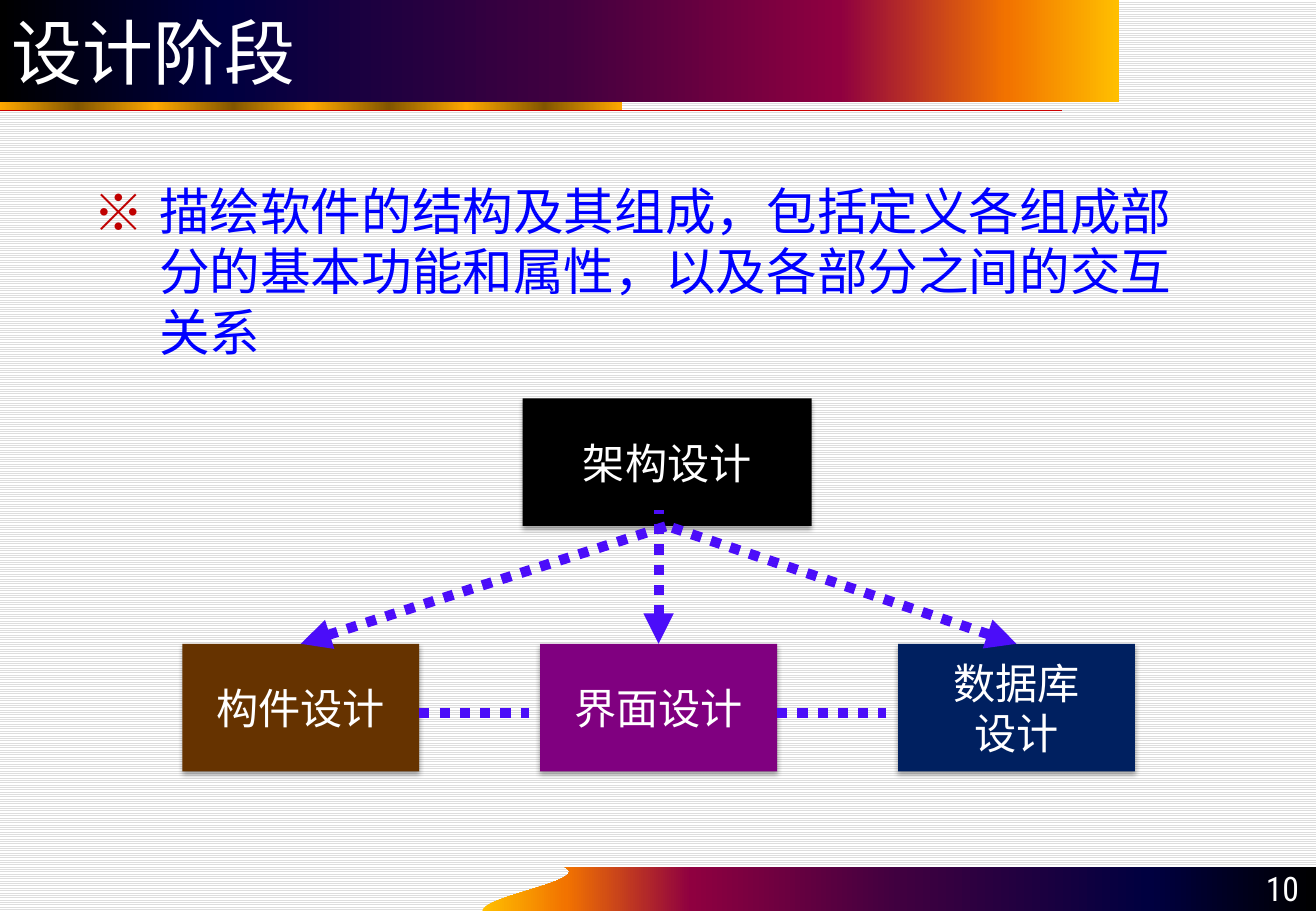
from dataclasses import dataclass

from lxml.etree import SubElement
from pptx import Presentation
from pptx.dml.color import RGBColor
from pptx.enum.dml import MSO_LINE, MSO_PATTERN
from pptx.enum.shapes import MSO_CONNECTOR, MSO_SHAPE
from pptx.enum.text import MSO_ANCHOR, PP_ALIGN
from pptx.oxml.ns import qn
from pptx.util import Inches, Pt


@dataclass(frozen=True)
class Theme:
    white: str = "FFFFFF"
    stripe: str = "DDDDDD"
    rule: str = "CC0000"
    bullet: str = "C00000"
    body: str = "0000FF"
    arrow: str = "4B0DF9"
    root: str = "000000"
    sunset: tuple = ((0, "000000"), (20, "000040"), (50, "400040"),
                     (75, "8F0040"), (90, "F27300"), (100, "FFBF00"))
    gold: tuple = ("FFA800", "825600")
    title_font: str = "DejaVu Sans"
    text_font: str = "Noto Sans CJK SC"
    number_font: str = "Roboto Condensed"
    title_size: int = 42
    body_size: int = 30
    box_size: int = 25
    number_size: int = 20
    line_height: float = 1.2


THEME = Theme()
SLIDE_W, SLIDE_H = 10.83, 7.5
DESIGNS = [("构件设计", "663300"), ("界面设计", "800080"), ("数据库\n设计", "002060")]


def rgb(color):
    return RGBColor.from_string(color)


def add_xml(parent, tag, **attributes):
    return SubElement(parent, qn(tag), {k: str(v) for k, v in attributes.items()})


def fill_gradient(shape, stops):
    """Left-to-right gradient without outline or shadow."""
    shape.shadow.inherit = False
    shape.line.fill.background()
    shape.fill.gradient()
    shape.fill.gradient_angle = 0
    stop_list = shape._element.spPr.find(qn("a:gradFill")).find(qn("a:gsLst"))
    for old in list(stop_list):
        stop_list.remove(old)
    for position, color in stops:
        stop = add_xml(stop_list, "a:gs", pos=int(position * 1000))
        add_xml(stop, "a:srgbClr", val=color)


def write(paragraph, text, font, size, color):
    for index, line in enumerate(text.split("\n")):
        if index:
            paragraph.add_line_break()
        run = paragraph.add_run()
        run.text = line
        run.font.name, run.font.size = font, Pt(size)
        run.font.color.rgb = rgb(color)
        add_xml(run._r.get_or_add_rPr(), "a:ea", typeface=font)


def add_rect(slide, left, top, width, height):
    return slide.shapes.add_shape(MSO_SHAPE.RECTANGLE, Inches(left), Inches(top),
                                  Inches(width), Inches(height))


def add_line(slide, start, end, color, width):
    line = slide.shapes.add_connector(
        MSO_CONNECTOR.STRAIGHT, *(Inches(v) for v in (*start, *end)))
    line.line.color.rgb = rgb(color)
    line.line.width = Pt(width)
    add_xml(line._element.spPr, "a:effectLst")
    return line


def add_dotted(slide, start, end, arrow=False):
    line = add_line(slide, start, end, THEME.arrow, 6)
    line.line.dash_style = MSO_LINE.ROUND_DOT
    if arrow:
        add_xml(line.line._get_or_add_ln(), "a:headEnd", type="triangle")
    return line


def add_header(slide, left, top, width, height):
    # Gold strip and red rule below the banner
    strip = add_rect(slide, left, top + 0.76, 5.12, 0.15)
    fill_gradient(strip, [(i * 12.5, THEME.gold[i % 2]) for i in range(9)])
    rule_y = top + 0.91
    add_line(slide, (left, rule_y), (left + 8.74, rule_y), THEME.rule, 1)
    # Title banner
    banner = add_rect(slide, left, top, width, height)
    fill_gradient(banner, THEME.sunset)
    frame = banner.text_frame
    frame.vertical_anchor = MSO_ANCHOR.MIDDLE
    frame.paragraphs[0].alignment = PP_ALIGN.LEFT
    write(frame.paragraphs[0], "设计阶段", THEME.title_font, THEME.title_size, THEME.white)


def add_footer(slide, left, top, width, height):
    # Bar whose left edge follows a Bézier curve
    curve = [(0, 0.36), (0, 0.24), (0.9, 0.11), (0.68, 0)]
    steps = 24
    edge = []
    for i in range(steps + 1):
        t = i / steps
        weights = ((1 - t) ** 3, 3 * t * (1 - t) ** 2, 3 * t * t * (1 - t), t ** 3)
        x, y = (sum(w * p[axis] for w, p in zip(weights, curve)) for axis in (0, 1))
        edge.append((Inches(left + x), Inches(top + y)))
    right, bottom = Inches(left + width), Inches(top + height)
    outline = slide.shapes.build_freeform(*edge[0])
    outline.add_line_segments(edge[1:] + [(right, Inches(top)), (right, bottom)])
    bar = outline.convert_to_shape()
    fill_gradient(bar, [(100 - p, c) for p, c in reversed(THEME.sunset)])
    # Slide number
    number = slide.shapes.add_textbox(Inches(left + width - 1), Inches(top - 0.01),
                                      Inches(0.96), Inches(0.4))
    frame = number.text_frame
    frame.word_wrap = True
    frame.vertical_anchor = MSO_ANCHOR.BOTTOM
    frame.paragraphs[0].alignment = PP_ALIGN.RIGHT
    write(frame.paragraphs[0], "10", THEME.number_font, THEME.number_size, THEME.white)


def add_description(slide, left, top, width, height):
    description = slide.shapes.add_textbox(Inches(left), Inches(top),
                                           Inches(width), Inches(height))
    frame = description.text_frame
    frame.word_wrap = True
    paragraph = frame.paragraphs[0]
    paragraph.line_spacing = Pt(THEME.body_size * THEME.line_height)
    properties = paragraph._p.get_or_add_pPr()
    properties.set("marL", str(Inches(0.54)))
    properties.set("indent", str(-Inches(0.54)))
    add_xml(add_xml(properties, "a:buClr"), "a:srgbClr", val=THEME.bullet)
    add_xml(properties, "a:buFont", typeface=THEME.text_font)
    add_xml(properties, "a:buChar", char="※")
    write(paragraph, "描绘软件的结构及其组成，包括定义各组成部分的基本功能和属性，"
          "以及各部分之间的交互关系", THEME.text_font, THEME.body_size, THEME.body)


def add_design_box(slide, left, top, width, height, label, color):
    box = add_rect(slide, left, top, width, height)
    box.fill.solid()
    box.fill.fore_color.rgb = rgb(color)
    box.line.fill.background()
    # Soft shadow straight below
    effects = add_xml(box._element.spPr, "a:effectLst")
    shadow = add_xml(effects, "a:outerShdw", blurRad=Pt(3.1), dist=Pt(1.8),
                     dir=5400000, rotWithShape=0)
    add_xml(add_xml(shadow, "a:srgbClr", val="000000"), "a:alpha", val=35000)
    frame = box.text_frame
    frame.word_wrap = True
    frame.vertical_anchor = MSO_ANCHOR.MIDDLE
    paragraph = frame.paragraphs[0]
    paragraph.alignment = PP_ALIGN.CENTER
    paragraph.line_spacing = Pt(THEME.box_size * THEME.line_height)
    write(paragraph, label, THEME.text_font, THEME.box_size, THEME.white)
    return box


def add_design_tree(slide, left, top, width, height):
    box_w, box_h, root_w = 1.95, 1.05, 2.38
    pitch = (width - box_w) / (len(DESIGNS) - 1)
    row_y = top + height - box_h
    root_x = left + 2.8
    root_bottom = (root_x + root_w / 2, top + box_h)
    root = add_design_box(slide, root_x, top, root_w, box_h, "架构设计", THEME.root)
    for i, (label, color) in enumerate(DESIGNS):
        x = left + i * pitch
        box = add_design_box(slide, x, row_y, box_w, box_h, label, color)
        # Arrow from the root; the middle one runs straight up into it
        middle = i == len(DESIGNS) // 2
        box_top = (x + box_w / 2, row_y)
        start = (box_top[0], row_y - 1.1) if middle else root_bottom
        arrow = add_dotted(slide, box_top, start, arrow=True)
        arrow.begin_connect(box, 0)
        if not middle:
            arrow.end_connect(root, 2)
        # Dotted link towards the next box
        if i < len(DESIGNS) - 1:
            link_y = row_y + 0.57
            add_dotted(slide, (x + box_w, link_y), (x + box_w + 0.9, link_y))


def main():
    deck = Presentation()
    deck.slide_width, deck.slide_height = Inches(SLIDE_W), Inches(SLIDE_H)
    slide = deck.slides.add_slide(deck.slide_layouts[6])
    # Finely striped background
    background = slide.background.fill
    background.patterned()
    background.pattern = MSO_PATTERN.LIGHT_HORIZONTAL
    background.fore_color.rgb = rgb(THEME.stripe)
    background.back_color.rgb = rgb(THEME.white)
    add_footer(slide, 3.97, 7.14, SLIDE_W - 3.97, 0.36)
    add_header(slide, 0, 0, 9.21, 0.84)
    add_description(slide, 0.67, 1.43, 9.48, 1.57)
    add_design_tree(slide, 1.5, 3.28, 7.84, 3.07)
    deck.save("out.pptx")


if __name__ == "__main__":
    main()
